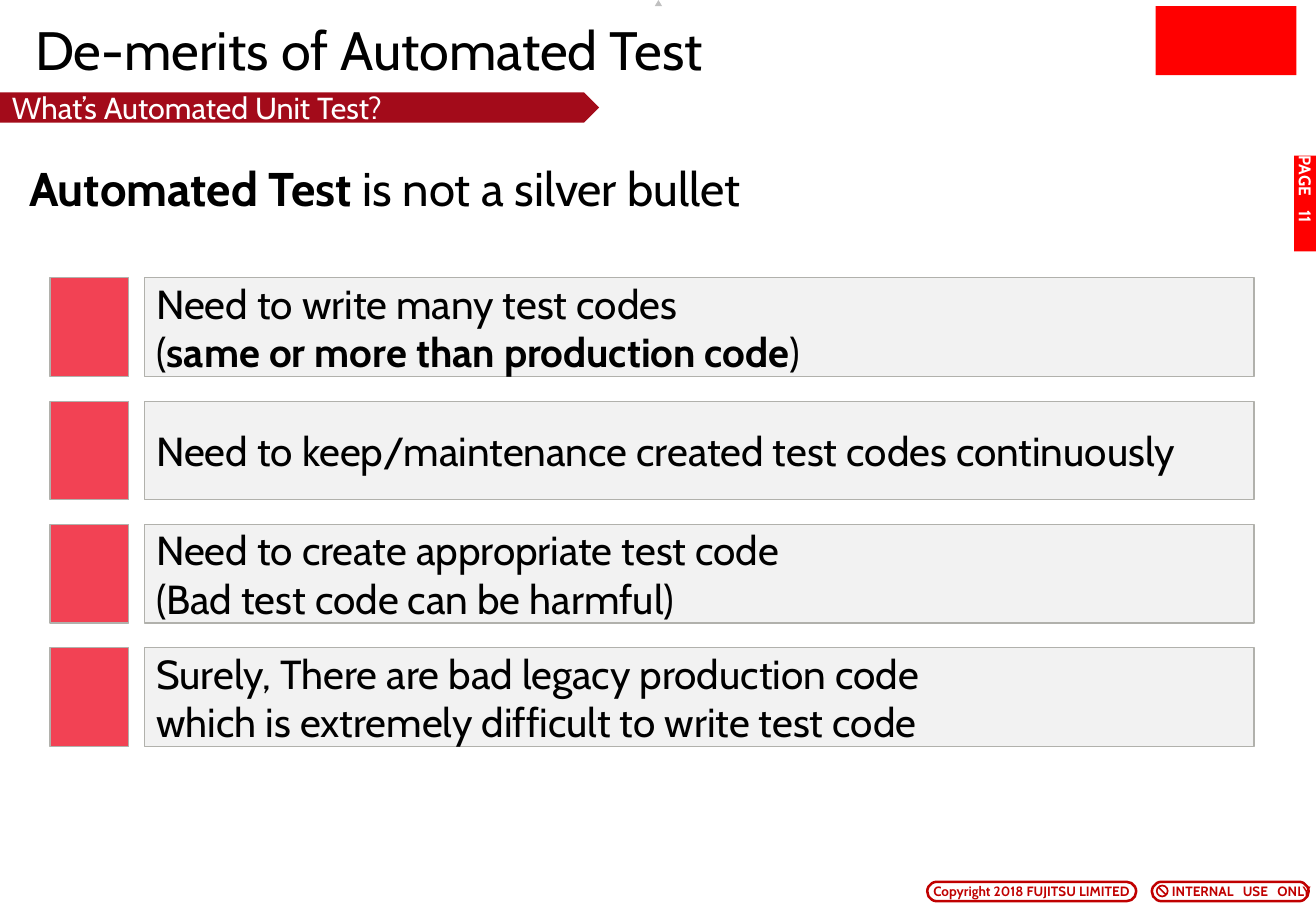
from lxml.etree import SubElement
from pptx import Presentation
from pptx.dml.color import RGBColor
from pptx.enum.shapes import MSO_CONNECTOR, MSO_SHAPE
from pptx.enum.text import MSO_ANCHOR, PP_ALIGN
from pptx.oxml.ns import qn
from pptx.util import Pt

TITLE = ["De-merits of Automated Test"]
TOPIC = ["What’s Automated Unit Test?"]
# Odd entries are bold
LEAD = ["", "Automated Test", " is not a silver bullet"]
ROWS = [
    ["Need to write many test codes\v(", "same or more than production code", ")"],
    ["Need to keep/maintenance created test codes continuously"],
    ["Need to create appropriate test code\v(Bad test code can be harmful)"],
    ["Surely, There are bad legacy production code\vwhich is extremely difficult to write test code"],
]
PAGE = ["", "PAGE\t11"]
RIGHTS = ["", "Copyright 2018 FUJITSU LIMITED"]
SECRET = ["", "INTERNAL\tUSE\tONLY"]

FONT = "Cabin"
BLACK = RGBColor(0x00, 0x00, 0x00)
WHITE = RGBColor(0xFF, 0xFF, 0xFF)
RED = RGBColor(0xFF, 0x00, 0x00)
DARK = RGBColor(0xC0, 0x00, 0x00)
WINE = RGBColor(0xA3, 0x0B, 0x1A)
CORAL = RGBColor(0xF2, 0x42, 0x54)
PALE = RGBColor(0xF2, 0xF2, 0xF2)
GRAY = RGBColor(0xB1, 0xB1, 0xAC)
SILVER = RGBColor(0xC0, 0xC0, 0xC0)

ROW_TOP, ROW_STEP, ROW_HIGH = 164.7, 73.1, 58.5

deck = Presentation()
deck.slide_width, deck.slide_height = Pt(779.76), Pt(540)
slide = deck.slides.add_slide(deck.slide_layouts[6])
shapes = slide.shapes


def add_form(kind, box, fill, line=None, width=0.75):
    form = shapes.add_shape(kind, *map(Pt, box))
    form.shadow.inherit = False
    form.fill.solid()
    form.fill.fore_color.rgb = fill
    if line is None:
        form.line.fill.background()
    else:
        form.line.color.rgb = line
        form.line.width = Pt(width)
    return form


def set_text(form, parts, size, color, wrap=False, align=PP_ALIGN.LEFT,
             anchor=MSO_ANCHOR.MIDDLE, insets=(7.2, 3.6, 7.2, 3.6), tabs=()):
    frame = form.text_frame
    frame.word_wrap = wrap
    frame.vertical_anchor = anchor
    frame.margin_left, frame.margin_top, frame.margin_right, frame.margin_bottom = map(Pt, insets)
    para = frame.paragraphs[0]
    para.text = parts[0]
    for part in parts[1:]:
        para.add_run().text = part
    para.alignment = align
    if tabs:
        stops = SubElement(para._p.get_or_add_pPr(), qn("a:tabLst"))
        for tab in tabs:
            SubElement(stops, qn("a:tab"), pos=str(Pt(tab)), algn="l")
    para.font.size = Pt(size)
    para.font.name = FONT
    strong = parts[1::2]
    for run in para.runs:
        run.font.size = Pt(size)
        run.font.name = FONT
        run.font.color.rgb = color
        run.font.bold = run.text in strong


add_form(MSO_SHAPE.RECTANGLE, (684.7, 3.6, 83.5, 41), RED)
add_form(MSO_SHAPE.ISOSCELES_TRIANGLE, (388, 0, 4.3, 3.6), SILVER)

for left, wide, parts, align, inset, tabs in (
    (682.5, 92.9, SECRET, PP_ALIGN.LEFT, 10.2, (42, 62.5)),
    (549.4, 123.8, RIGHTS, PP_ALIGN.CENTER, 7.2, ()),
):
    badge = add_form(MSO_SHAPE.ROUNDED_RECTANGLE, (left, 522.7, wide, 11.5), WHITE, DARK, 1.5)
    badge.adjustments[0] = 0.5
    set_text(badge, parts, 8, DARK, align=align, insets=(inset, 0, 0 if tabs else inset, 0), tabs=tabs)

add_form(MSO_SHAPE.OVAL, (685.4, 524.9, 6.5, 6.5), WHITE, DARK, 1)
slash = shapes.add_connector(MSO_CONNECTOR.STRAIGHT, Pt(686.6), Pt(526.1), Pt(690.9), Pt(530.4))
slash.line.color.rgb = DARK
slash.line.width = Pt(1)
SubElement(slash._element.spPr, qn("a:effectLst"))

title = shapes.add_textbox(Pt(13.7), Pt(13.7), Pt(660.2), Pt(31))
set_text(title, TITLE, 32, BLACK, wrap=True)

page = add_form(MSO_SHAPE.RECTANGLE, (745.2, 113.8, 56.9, 13.7), RED)
page.rotation = 90
set_text(page, PAGE, 10, WHITE, insets=(0, 0, 0, 0), tabs=(32.5,))

topic = add_form(MSO_SHAPE.RIGHT_ARROW, (0, 54.7, 355, 18), WINE)
topic.adjustments[0], topic.adjustments[1] = 1, 0.5
set_text(topic, TOPIC, 18, WHITE, wrap=True)

for index, parts in enumerate(ROWS):
    top = ROW_TOP + index * ROW_STEP
    row = add_form(MSO_SHAPE.RECTANGLE, (85.5, top, 657.5, ROW_HIGH), PALE, GRAY)
    set_text(row, parts, 24, BLACK)
    add_form(MSO_SHAPE.RECTANGLE, (29.7, top, 46.6, ROW_HIGH), CORAL, GRAY)

lead = shapes.add_textbox(Pt(10.8), Pt(90.7), Pt(768.9), Pt(33.1))
set_text(lead, LEAD, 28, BLACK, wrap=True, anchor=MSO_ANCHOR.TOP, insets=(6.5, 3.6, 6.5, 3.6))

deck.save("out.pptx")
